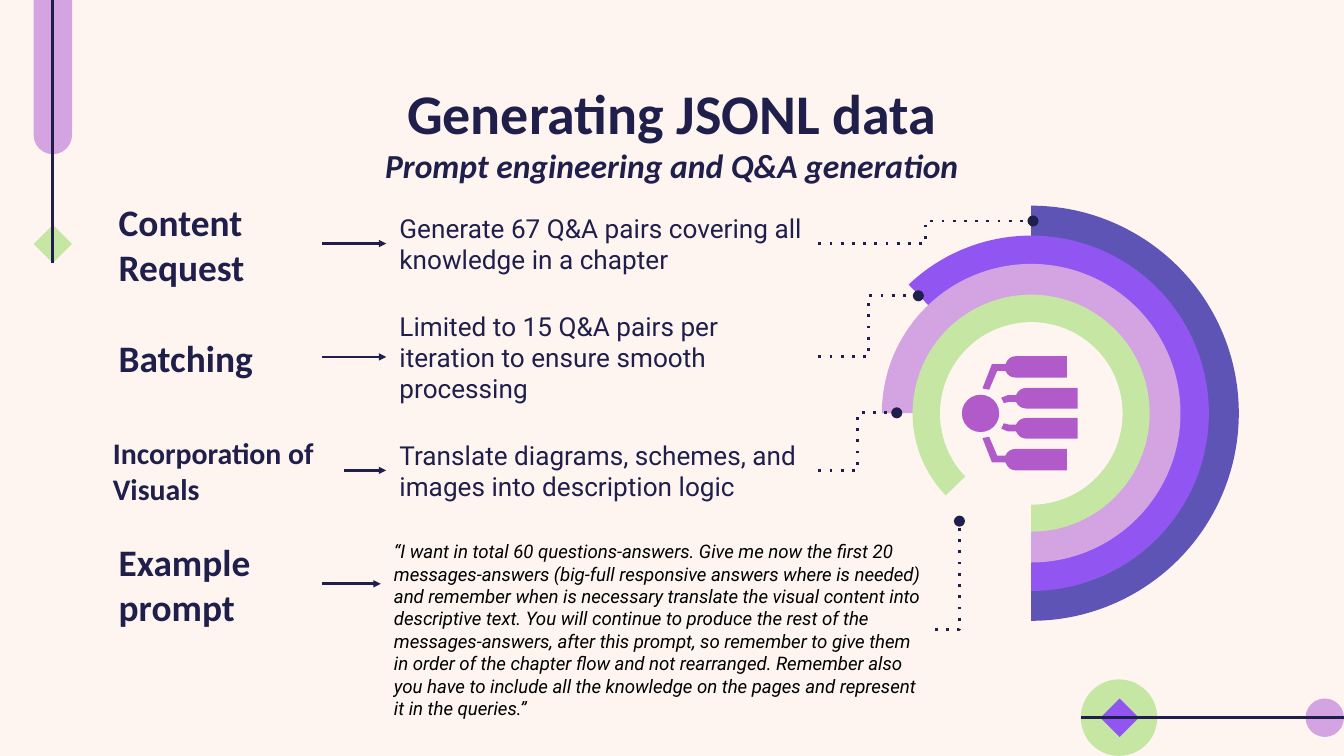
import math
import lxml.etree
import pptx
import pptx.util
import pptx.dml.color
import pptx.enum.shapes
import pptx.enum.text
import pptx.oxml.ns

Pt = pptx.util.Pt
RGB = pptx.dml.color.RGBColor.from_string
qn = pptx.oxml.ns.qn
SHAPE = pptx.enum.shapes.MSO_SHAPE
CONNECTOR = pptx.enum.shapes.MSO_CONNECTOR
ANCHOR = pptx.enum.text.MSO_ANCHOR
ALIGN = pptx.enum.text.PP_ALIGN

COLORS = {
    "background": "FEF5F0", "navy": "201F4B", "black": "000000", "green": "C6E6A3",
    "lilac": "D4A4E2", "violet": "9156F1", "indigo": "5E54B5", "orchid": "B15ACA",
}

presentation = pptx.Presentation()
presentation.slide_width, presentation.slide_height = Pt(720), Pt(405)
slide = presentation.slides.add_slide(presentation.slide_layouts[5])
slide.background.fill.solid()
slide.background.fill.fore_color.rgb = RGB(COLORS["background"])


def add_line(kind, start, end, head=None, head_size="med", dash=None):
    line = slide.shapes.add_connector(kind, *(Pt(value) for value in (*start, *end)))
    line.line.color.rgb = RGB(COLORS["navy"])
    line.line.width = Pt(1.5)
    properties = line._element.spPr
    outline = properties.find(qn("a:ln"))
    if dash:
        lxml.etree.SubElement(outline, qn("a:prstDash"), val=dash)
    if head:
        lxml.etree.SubElement(outline, qn("a:tailEnd"), type=head, w=head_size, len=head_size)
    lxml.etree.SubElement(properties, qn("a:effectLst"))
    return line


def write_text(shape, text, font, size, color="navy", bold=False, italic=False,
               align=ALIGN.LEFT, anchor=ANCHOR.MIDDLE):
    frame = shape.text_frame
    frame.text = text
    frame.word_wrap = True
    frame.auto_size = pptx.enum.text.MSO_AUTO_SIZE.NONE
    frame.vertical_anchor = anchor
    frame.margin_left = frame.margin_right = Pt(7.2)
    frame.margin_top = frame.margin_bottom = Pt(7.2)
    paragraph = frame.paragraphs[0]
    paragraph.alignment = align
    run_font = paragraph.runs[0].font
    run_font.name, run_font.size = font, Pt(size)
    run_font.bold, run_font.italic = bold, italic
    run_font.color.rgb = RGB(COLORS[color])


# Sectors around one center, all ending at the bottom: radius, first angle, color
center_x, center_y = 552.45, 221.4
sectors = [(111.2, -90, "indigo"), (95.2, -133.6, "violet"),
           (80, -180, "lilac"), (63.5, -223.9, "green")]
filled_shapes = []
for radius, first_angle, color in sectors:
    quarters = [angle for angle in (-180, -90, 0, 90) if angle > first_angle]
    points = [(Pt(center_x + radius * math.cos(math.radians(angle))),
               Pt(center_y + radius * math.sin(math.radians(angle))))
              for angle in (first_angle, *quarters)]
    builder = slide.shapes.build_freeform(Pt(center_x), Pt(center_y))
    builder.add_line_segments(points, close=True)
    sector = builder.convert_to_shape()
    # One arc replaces the straight segments between the quarter points
    segments = list(sector._element.iter(qn("a:lnTo")))[1:]
    arc = lxml.etree.Element(
        qn("a:arcTo"), wR=str(Pt(radius)), hR=str(Pt(radius)),
        stAng=str(round((first_angle % 360) * 60000)),
        swAng=str(round((90 - first_angle) * 60000)))
    segments[0].addprevious(arc)
    for segment in segments:
        segment.getparent().remove(segment)
    filled_shapes.append((sector, color))

# Chart hole, icon node and corner ornaments
presets = [
    (SHAPE.OVAL, 503.6, 172.6, 97.8, 97.8, "background"),
    (SHAPE.OVAL, 515.3, 211.5, 20, 20, "orchid"),
    (SHAPE.OVAL, 579, 364, 41, 41, "green"),
    (SHAPE.DIAMOND, 589.5, 374.2, 20.6, 20.6, "violet"),
    (SHAPE.OVAL, 699.4, 374.2, 20.6, 20.6, "lilac"),
    (SHAPE.ROUNDED_RECTANGLE, 18, -14.6, 20.6, 97.2, "lilac"),
    (SHAPE.DIAMOND, 18, 120.4, 20.6, 20.6, "green"),
]
for kind, left, top, width, height, color in presets:
    shape = slide.shapes.add_shape(kind, Pt(left), Pt(top), Pt(width), Pt(height))
    if kind == SHAPE.ROUNDED_RECTANGLE:
        shape.adjustments[0] = 0.5
    filled_shapes.append((shape, color))

# Icon branches: the upper two and their mirror images
outer_branch = [(544.3, 190.8), (540.2, 190.8), (538.6, 195.1), (531.4, 195.1), (526.3, 208.1),
                (529.9, 208.8), (534.2, 198.7), (538.6, 198.7), (540.2, 202.3), (544.3, 202.3),
                (571.5, 202.3), (571.5, 190.8)]
inner_branch = [(550.1, 207.8), (546, 207.8), (544.3, 211.7), (540, 211.7), (536.4, 213.1),
                (537.8, 216), (540.7, 215.3), (544.3, 215.3), (546, 218.9), (550.1, 218.9),
                (577.4, 218.9), (577.4, 207.8)]
for branch in (outer_branch, inner_branch):
    for points in (branch, [(x, 2 * center_y - y) for x, y in branch]):
        start, *others = [(Pt(x), Pt(y)) for x, y in points]
        builder = slide.shapes.build_freeform(*start)
        builder.add_line_segments(others, close=True)
        shape = builder.convert_to_shape()
        # The rounded end: points 1 and 8 become control points of curves
        segments = list(shape._element.iter(qn("a:lnTo")))
        for control, end in ((segments[0], segments[1]), (segments[7], segments[8])):
            curve = lxml.etree.Element(qn("a:quadBezTo"))
            control.addprevious(curve)
            for segment in (control, end):
                curve.append(segment[0])
                segment.getparent().remove(segment)
        filled_shapes.append((shape, "orchid"))

for shape, color in filled_shapes:
    shape.shadow.inherit = False
    shape.fill.solid()
    shape.fill.fore_color.rgb = RGB(COLORS[color])
    shape.line.fill.background()

add_line(CONNECTOR.STRAIGHT, (579, 384.5), (720, 384.5))
add_line(CONNECTOR.STRAIGHT, (28.1, 0), (28.1, 141))

# Title and subtitle
title = slide.shapes.title
title.left, title.top, title.width, title.height = Pt(56.7), Pt(35.1), Pt(606.6), Pt(45.1)
write_text(title, "Generating JSONL data", "Calibri", 30, bold=True,
           align=ALIGN.CENTER, anchor=ANCHOR.TOP)
subtitle = slide.shapes.add_textbox(Pt(130.7), Pt(62.4), Pt(458.6), Pt(43.9))
write_text(subtitle, "Prompt engineering and Q&A generation", "Calibri", 18, bold=True,
           italic=True, align=ALIGN.CENTER, anchor=ANCHOR.BOTTOM)

# Rows: label, arrow, description
prompt = (
    "“I want in total 60 questions-answers. Give me now the first 20 messages-answers "
    "(big-full responsive answers where is needed) and remember when is necessary translate "
    "the visual content into descriptive text. You will continue to produce the rest of the "
    "messages-answers, after this prompt, so remember to give them in order of the chapter "
    "flow and not rearranged. Remember also you have to include all the knowledge on the "
    "pages and represent it in the queries.”"
)
label_box, wide_label_box = (56.5, 115.9), (53.4, 131)
rows = [
    ("Content Request", 20, label_box, "Generate 67 Q&A pairs covering all knowledge in a chapter"),
    ("Batching", 20, label_box, "Limited to 15 Q&A pairs per iteration to ensure smooth processing"),
    ("Incorporation of Visuals", 16, wide_label_box,
     "Translate diagrams, schemes, and images into description logic"),
    ("Example prompt", 20, label_box, prompt),
]
for index, (label, label_size, (left, width), description) in enumerate(rows):
    middle = 130.5 + 60.75 * index
    label_shape = slide.shapes.add_textbox(Pt(left), Pt(middle - 21.9), Pt(width), Pt(44))
    write_text(label_shape, label, "Calibri", label_size, bold=True)
    if description == prompt:
        box, style = (204, 312.8, 296.8, 49), (10, "black", False, True)
    else:
        box, style = (206.9, middle - 15.9, 231.4, 31.8), (14,)
    description_shape = slide.shapes.add_textbox(*(Pt(value) for value in box))
    write_text(description_shape, description, "Roboto", *style)
    add_line(CONNECTOR.STRAIGHT, (left + width, middle), (box[0], middle),
             head="triangle", head_size="sm")

# Dotted leaders from the descriptions to the sectors
leaders = [((438.4, 130.5), (553.4, 118.4)), ((438.4, 191.2), (492, 158.5)),
           ((438.4, 252), (480.4, 221.2)), ((500.9, 337.4), (514, 279.2))]
for start, end in leaders:
    leader = add_line(CONNECTOR.ELBOW, start, end, head="oval", dash="dot")
# The last leader has a single corner
leader._element.spPr.find(qn("a:prstGeom")).set("prst", "bentConnector2")

presentation.save("out.pptx")
